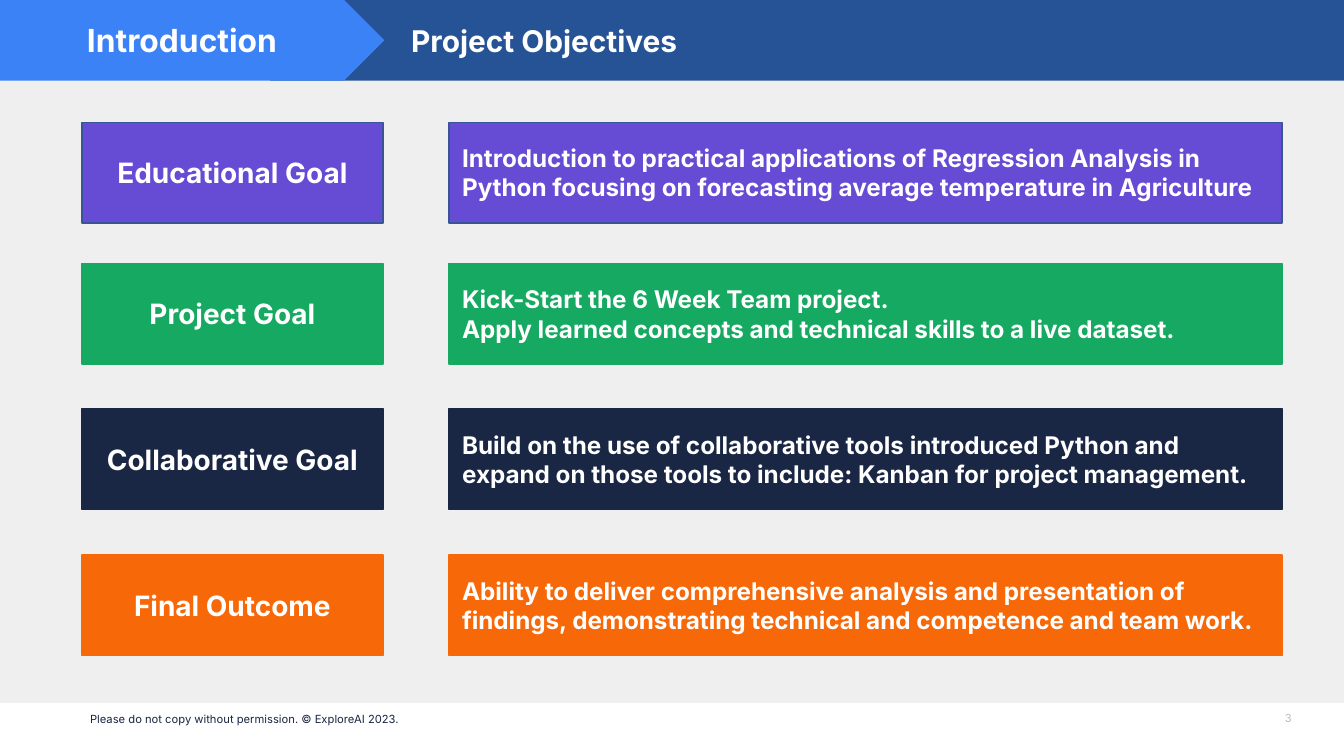
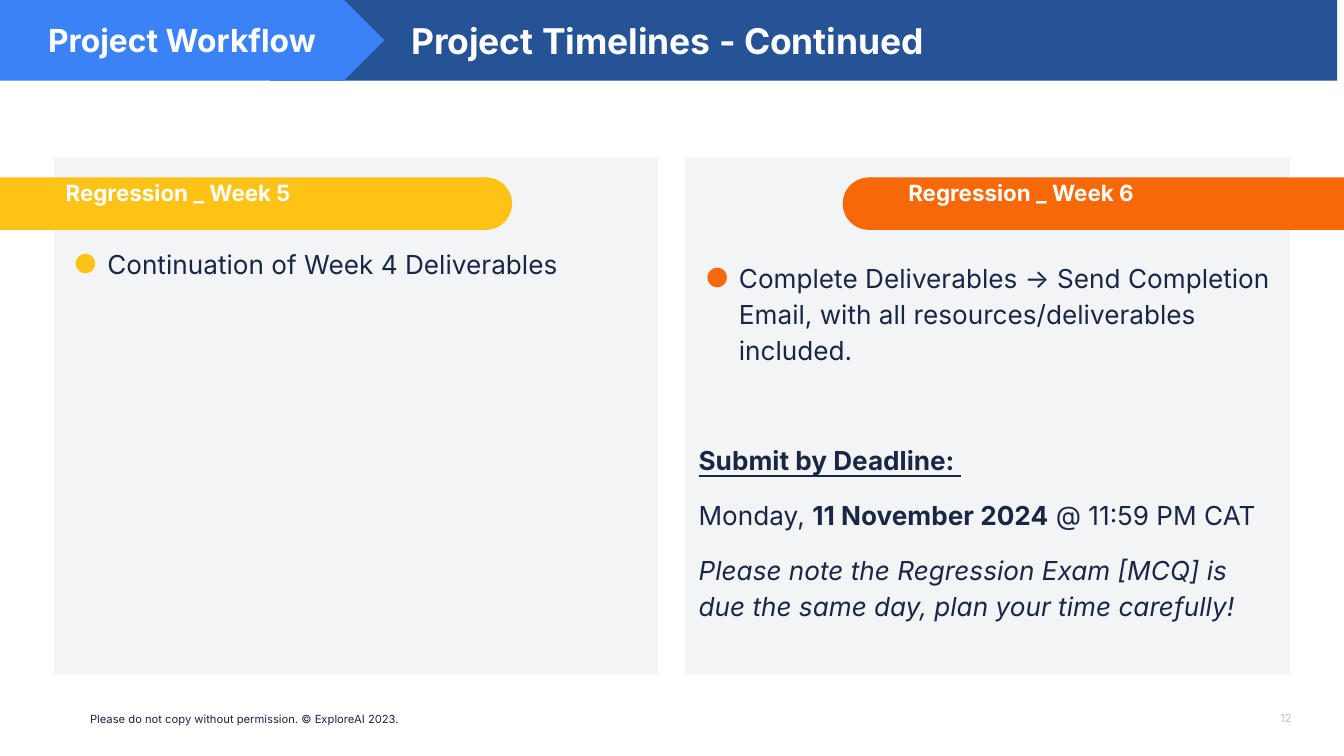
import pptx
import pptx.util
import pptx.dml.color
import pptx.enum.shapes
import pptx.enum.text
import pptx.oxml.ns
import lxml.etree

Inches = pptx.util.Inches
Pt = pptx.util.Pt
SHAPES = pptx.enum.shapes.MSO_SHAPE
ALIGN = pptx.enum.text.PP_ALIGN
ANCHOR = pptx.enum.text.MSO_ANCHOR
FIT = pptx.enum.text.MSO_AUTO_SIZE

FONT = "Inter"
COLORS = {
    "white": "FFFFFF", "navy": "1A2744", "number": "BABEC7",
    "band": "265396", "tab": "3B82F6", "backdrop": "EFEFEF", "panel": "F3F4F6",
    "purple": "664BD5", "purple_edge": "395597", "green": "15A961",
    "orange": "F76809", "week5": "FFC217", "week6": "F76808",
}

# Text styles, passed to write()
TAB = {"size": Pt(17), "bold": True}
LABEL = {"size": Pt(15), "bold": True}
DETAIL = {"size": Pt(13), "bold": True}
WEEK = {"size": Pt(12), "bold": True}
BODY = {"size": Pt(14)}
SMALL = {"size": Pt(6)}

FOOTER = "Please do not copy without permission. © ExploreAI 2023."

# Label, lines of detail, fill, edge, top
GOALS = [
    ("Educational Goal",
     ["Introduction to practical applications of Regression Analysis in "
      "Python focusing on forecasting average temperature in Agriculture"],
     "purple", "purple_edge", 0.91),
    ("Project Goal",
     ["Kick-Start the 6 Week Team project.",
      "Apply learned concepts and technical skills to a live dataset."],
     "green", "green", 1.96),
    ("Collaborative Goal",
     ["Build on the use of collaborative tools introduced Python and "
      "expand on those tools to include: Kanban for project management."],
     "navy", "navy", 3.04),
    ("Final Outcome",
     ["Ability to deliver comprehensive analysis and presentation of "
      "findings, demonstrating technical and competence and team work."],
     "orange", "orange", 4.13),
]

# Each paragraph: runs of (text, extra font values), then paragraph values
WEEK_5 = [
    {"runs": [("Continuation of Week 4 Deliverables", {})],
     "bullet": "week5", "space_after": Pt(10)},
]
WEEK_6 = [
    {"runs": [("Complete Deliverables -> Send Completion Email, with all "
               "resources/deliverables included.", {})], "bullet": "week6"},
    {"runs": [("Submit by Deadline: ", {"bold": True, "underline": True})],
     "space_before": Pt(39.5)},
    {"runs": [("Monday, ", {}), ("11 November 2024", {"bold": True}),
              (" @ 11:59 PM CAT", {})], "space_before": Pt(10)},
    {"runs": [("Please note the Regression Exam [MCQ] is due the same day, "
               "plan your time carefully!", {"italic": True})],
     "space_before": Pt(10), "space_after": Pt(10)},
]


def rgb(name):
    return pptx.dml.color.RGBColor.from_string(COLORS[name])


def apply(target, values):
    for name, value in values.items():
        setattr(target, name, value)


def add_block(slide, preset, box, fill, edge=None):
    block = slide.shapes.add_shape(preset, *map(Inches, box))
    block.shadow.inherit = False
    block.fill.solid()
    block.fill.fore_color.rgb = rgb(fill)
    if edge:
        block.line.color.rgb = rgb(edge)
        block.line.width = Pt(0.75)
    else:
        block.line.fill.background()
    return block


def set_bullet(paragraph, color):
    properties = paragraph._p.get_or_add_pPr()
    properties.set("marL", str(Inches(0.3)))
    properties.set("indent", str(Inches(-0.25)))
    qn = pptx.oxml.ns.qn
    bullet_color = lxml.etree.SubElement(properties, qn("a:buClr"))
    lxml.etree.SubElement(bullet_color, qn("a:srgbClr"), val=COLORS[color])
    lxml.etree.SubElement(properties, qn("a:buFont"), typeface=FONT)
    lxml.etree.SubElement(properties, qn("a:buChar"), char="●")


def write(shape, paragraphs, style, color="white", align=ALIGN.LEFT,
          insets=(0.1, 0.1, 0.1, 0.1), anchor=ANCHOR.MIDDLE, fit=FIT.NONE):
    """Fill a shape with plain strings or paragraph dicts."""
    frame = shape.text_frame
    sides = ("margin_left", "margin_top", "margin_right", "margin_bottom")
    apply(frame, {"word_wrap": True, "auto_size": fit, "vertical_anchor": anchor,
                  **dict(zip(sides, map(Inches, insets)))})
    for index, content in enumerate(paragraphs):
        paragraph = frame.add_paragraph() if index else frame.paragraphs[0]
        if isinstance(content, str):
            content = {"runs": [(content, {})]}
        values = dict(content)
        runs = values.pop("runs")
        bullet = values.pop("bullet", None)
        if bullet:
            set_bullet(paragraph, bullet)
        apply(paragraph, {"alignment": align, **values})
        for words, extra in runs:
            run = paragraph.add_run()
            run.text = words
            apply(run.font, {"name": FONT, **style, **extra})
            run.font.color.rgb = rgb(color)


def add_text(slide, box, paragraphs, style, **layout):
    write(slide.shapes.add_textbox(*map(Inches, box)), paragraphs, style, **layout)


def add_footer(slide, number):
    add_text(slide, (9.11, 5.13, 0.6, 0.43), [number], SMALL,
             color="number", align=ALIGN.RIGHT)
    add_text(slide, (0.59, 5.3, 2.87, 0.1), [FOOTER], SMALL, color="navy",
             insets=(0.08, 0, 0, 0), fit=FIT.SHAPE_TO_FIT_TEXT)


def add_header(slide, section, title, title_size, band_width):
    band = add_block(slide, SHAPES.RECTANGLE, (2.01, 0, band_width, 0.6), "band")
    write(band, [title], {"size": Pt(title_size), "bold": True},
          insets=(1.05, 0.03, 0.03, 0.03))
    tab = add_block(slide, SHAPES.PENTAGON, (0, 0, 2.86, 0.6), "tab")
    tab.adjustments[0] = 0.5
    write(tab, [section], TAB, align=ALIGN.CENTER, insets=(0.08,) * 4)


def add_goal(slide, label, details, fill, edge, top):
    columns = [(0.61, 2.24, [label], LABEL, ALIGN.CENTER),
               (3.34, 6.2, details, DETAIL, ALIGN.LEFT)]
    for left, width, lines, style, align in columns:
        cell = add_block(slide, SHAPES.RECTANGLE, (left, top, width, 0.75),
                         fill, edge)
        write(cell, lines, style, align=align)


def add_week(slide, panel_left, title, title_left, color, cap_left, bar_left, bar_width):
    """Panel with a ribbon, rounded at one end, that runs off the slide edge."""
    top, height = 1.32, 0.39
    add_block(slide, SHAPES.RECTANGLE, (panel_left, 1.17, 4.5, 3.85), "panel")
    add_block(slide, SHAPES.OVAL, (cap_left, top, height, height), color)
    add_block(slide, SHAPES.RECTANGLE, (bar_left, top, bar_width, height), color)
    add_text(slide, (title_left, top, 2.94, height), [title], WEEK,
             insets=(0.1, 0.01, 0.1, 0), anchor=ANCHOR.TOP)


def add_tasks(slide, box, tasks, **layout):
    spaced = [{"line_spacing": 1.15, **task} for task in tasks]
    add_text(slide, box, spaced, BODY, color="navy",
             fit=FIT.SHAPE_TO_FIT_TEXT, **layout)


def build_objectives(slide):
    add_footer(slide, "3")
    add_block(slide, SHAPES.RECTANGLE, (0, 0.6, 10, 4.63), "backdrop", "backdrop")
    add_header(slide, "Introduction", "Project Objectives", 16, 7.99)
    for goal in GOALS:
        add_goal(slide, *goal)


def build_timelines(slide):
    add_footer(slide, "12")
    add_header(slide, "Project Workflow", "Project Timelines - Continued", 19, 7.94)
    add_week(slide, 0.4, "Regression _ Week 5", 0.39, "week5", 3.42, 0, 3.63)
    add_tasks(slide, (0.4, 1.83, 4.5, 0.24), WEEK_5, insets=(0.1, 0, 0.1, 0))
    add_week(slide, 5.1, "Regression _ Week 6", 6.66, "week6", 6.27, 6.47, 3.53)
    add_tasks(slide, (5.1, 1.82, 4.5, 2.9), WEEK_6, anchor=ANCHOR.TOP)


def main():
    deck = pptx.Presentation()
    # Widescreen, 16:9
    deck.slide_width = Inches(10)
    deck.slide_height = Inches(10 * 9 / 16)
    blank = deck.slide_layouts[6]
    for build in (build_objectives, build_timelines):
        build(deck.slides.add_slide(blank))
    deck.save("out.pptx")


if __name__ == "__main__":
    main()
